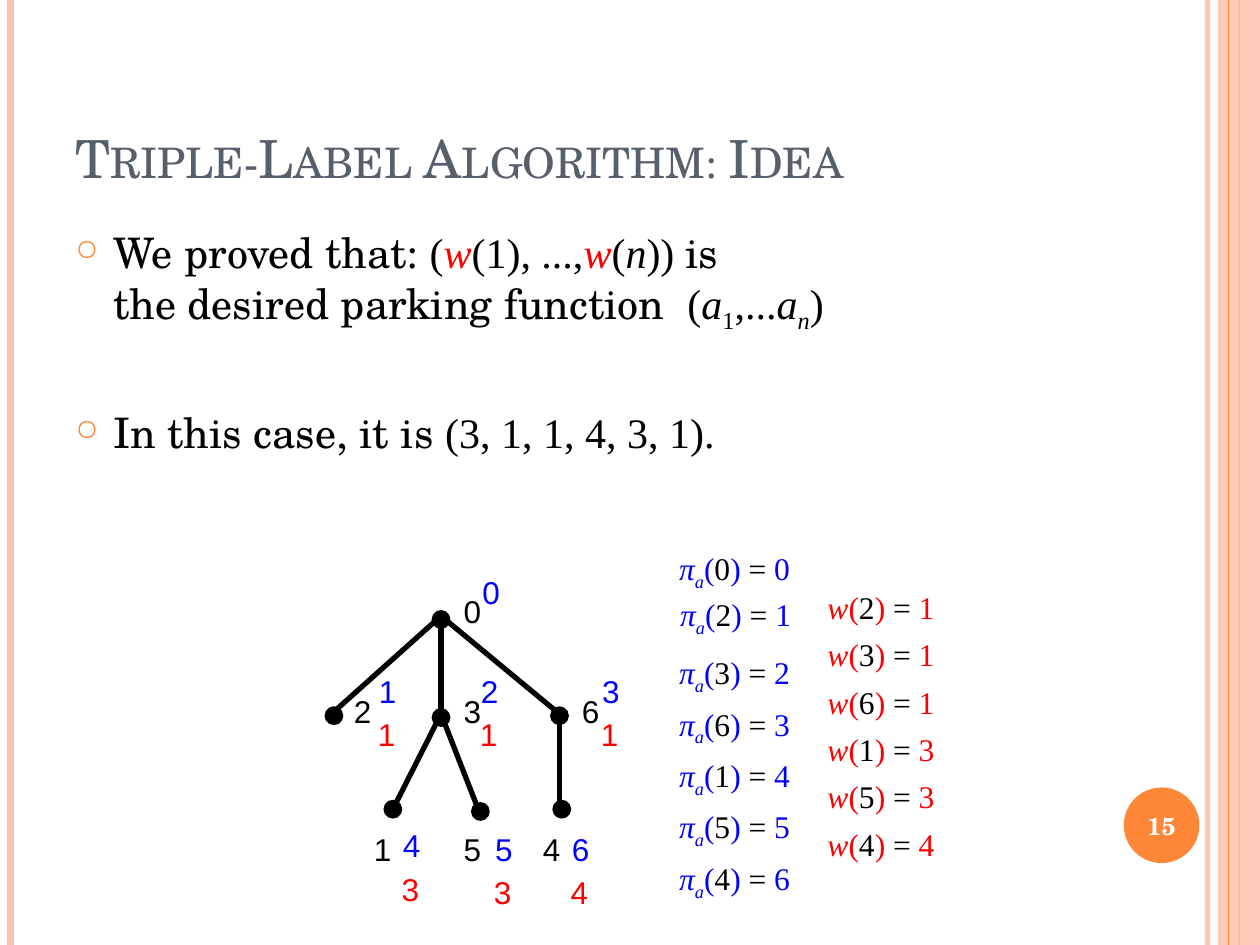
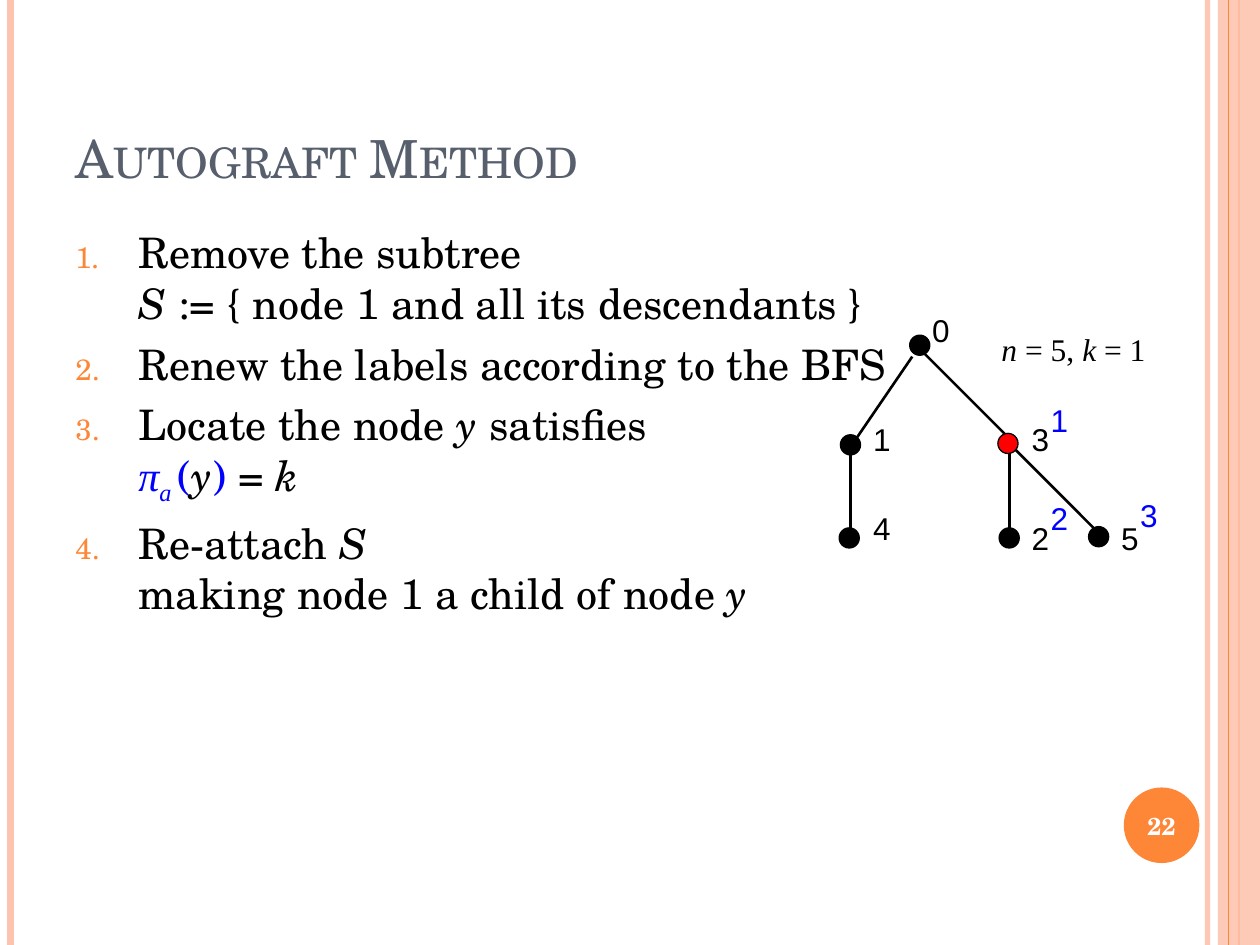
"""Build two slides on labelled trees and parking functions."""
from dataclasses import dataclass
from typing import NamedTuple, Optional

from lxml import etree
from pptx import Presentation
from pptx.dml.color import RGBColor
from pptx.enum.shapes import MSO_CONNECTOR, MSO_SHAPE
from pptx.enum.text import MSO_ANCHOR, PP_ALIGN
from pptx.oxml.ns import qn
from pptx.util import Pt

LINE = MSO_CONNECTOR.STRAIGHT
RECT, OVAL = MSO_SHAPE.RECTANGLE, MSO_SHAPE.OVAL
TOP, MID, LOW = MSO_ANCHOR.TOP, MSO_ANCHOR.MIDDLE, MSO_ANCHOR.BOTTOM
LEFT, MIDST = PP_ALIGN.LEFT, PP_ALIGN.CENTER


@dataclass(frozen=True)
class Theme:
    ink: str = "000000"
    blue: str = "0000FF"
    red: str = "FF0000"
    white: str = "FFFFFF"
    slate: str = "575F6D"
    peach: str = "FEC3AE"
    flame: str = "FE8637"
    serif: str = "TeX Gyre Schola"
    math: str = "Times New Roman"
    sans: str = "Arial"
    title: float = 30
    body: float = 24
    label: float = 18
    page: float = 14


T = Theme()


class Box(NamedTuple):
    x: float
    y: float
    w: float
    h: float


class Bit(NamedTuple):
    """Text with marks: i italic, s subscript, t math font, b blue, r red."""
    text: str
    marks: str = ""


class Para(NamedTuple):
    bits: list[Bit]
    before: float = 6


class Look(NamedTuple):
    font: str
    size: float
    color: str = T.ink
    bold: bool = False
    align: object = LEFT
    pitch: Optional[float] = None


class Band(NamedTuple):
    x: float
    width: float
    color: str
    alpha: int = 100


class Edge(NamedTuple):
    x1: float
    y1: float
    x2: float
    y2: float


class Node(NamedTuple):
    """A dot by its centre, its name, and its blue and red labels."""
    x: float
    y: float
    name: str
    name_x: float
    name_y: float
    rank: str = ""
    rank_x: float = 0
    rank_y: float = 0
    wait: str = ""
    color: str = T.ink


class Tree(NamedTuple):
    edges: list[Edge]
    nodes: list[Node]
    dot: float
    line: float


TITLE, BODY = Box(36, 21.6, 588, 90), Box(36, 126, 588, 384)
BADGE, SIDE = Box(642.2, 450, 43.2, 43.2), Box(696, 0, 24, 540)
BACK = [Band(690, 3, T.peach, 93), Band(6, 4.5, T.peach), Band(708, 1.5, T.flame)]
FRONT = [Band(702, 0.75, T.flame)]
LABEL = Look(T.sans, T.label)
FORMULA = Look(T.math, T.label, pitch=0.8)
STEP, GAP = 9.75, 24.8

PARK = Tree(
    [Edge(252, 352, 252, 408), Edge(252, 352, 319.7, 408),
     Edge(189.4, 408, 252, 352), Edge(223.2, 465, 252, 408),
     Edge(274.3, 465, 252, 408), Edge(319.7, 465, 319.7, 408)],
    [Node(252, 354, "0", 257.8, 334.8, "0", 268.6, 324),
     Node(190.8, 409, "2", 195.1, 391.7, "1", 209.5, 380.2, "1"),
     Node(252, 410, "3", 257.8, 391.7, "2", 267.8, 380.2, "1"),
     Node(319.7, 409, "6", 325.4, 391.7, "3", 337, 380.2, "1"),
     Node(224.5, 462.4, "1", 206.6, 470.9, "4", 223.2, 468.7, "3"),
     Node(274.5, 463.7, "5", 257.8, 470.9, "5", 275.8, 470.5, "3"),
     Node(321, 462.4, "4", 303.1, 470.9, "6", 319.7, 470.5, "4")],
    10, 3)
GRAFT = Tree(
    [Edge(579.6, 253.4, 525.6, 199.4), Edge(521.3, 203.8, 487.4, 253.4),
     Edge(486, 257.8, 486, 310.3), Edge(576.7, 253.4, 576.7, 310.3),
     Edge(576.7, 253.4, 627.8, 304.6)],
    [Node(525.6, 197.3, "0", 525.6, 174.2),
     Node(486, 254.2, "1", 491.8, 236.2),
     Node(485.3, 307.4, "4", 491.8, 287.3),
     Node(576, 253.4, "3", 582.5, 236.2, "1", 593.3, 225.4, color=T.red),
     Node(576.7, 307.4, "2", 582.5, 293, "2", 593.3, 281.5),
     Node(627.8, 306.7, "5", 633.6, 293, "3", 644.4, 280.1)],
    11.5, 1.5)


def fade(shape, alpha: int) -> None:
    """Make the colour of a shape partly clear."""
    if alpha < 100:
        color = shape._element.spPr.find(".//" + qn("a:srgbClr"))
        etree.SubElement(color, qn("a:alpha"), val=str(alpha * 1000))


def rule(slide, edge: Edge, width: float, color: str, alpha: int = 100) -> None:
    """Draw a straight line."""
    line = slide.shapes.add_connector(LINE, *map(Pt, edge))
    line.line.width = Pt(width)
    line.line.color.rgb = RGBColor.from_string(color)
    fade(line, alpha)
    etree.SubElement(line._element.spPr, qn("a:effectLst"))


def block(slide, kind, box: Box, fill: str, line: str = "", alpha: int = 100):
    """Draw a filled preset shape."""
    shape = slide.shapes.add_shape(kind, *map(Pt, box))
    shape.shadow.inherit = False
    shape.fill.solid()
    shape.fill.fore_color.rgb = RGBColor.from_string(fill)
    fade(shape, alpha)
    if line:
        shape.line.color.rgb = RGBColor.from_string(line)
        shape.line.width = Pt(0.75)
    else:
        shape.line.fill.background()
    return shape


def style(run, look: Look, marks: str = "") -> None:
    """Format a run by its look and marks."""
    font = run.font
    font.name = T.math if "t" in marks else look.font
    font.size, font.bold, font.italic = Pt(look.size), look.bold, "i" in marks
    color = T.blue if "b" in marks else T.red if "r" in marks else look.color
    font.color.rgb = RGBColor.from_string(color)
    if "s" in marks:
        run._r.get_or_add_rPr().set("baseline", "-25000")


def write(frame, paras: list[Para], look: Look, anchor=TOP) -> None:
    """Fill a text frame with paragraphs of marked bits."""
    frame.word_wrap, frame.vertical_anchor = True, anchor
    for i, para in enumerate(paras):
        line = frame.add_paragraph() if i else frame.paragraphs[0]
        line.alignment, line.space_before = look.align, Pt(para.before)
        if look.pitch:
            line.line_spacing = look.pitch
        for bit in para.bits:
            for j, part in enumerate(bit.text.split("\n")):
                if j:
                    line.add_line_break()
                if part:
                    run = line.add_run()
                    run.text = part
                    style(run, look, bit.marks)


def note(slide, box: Box, paras: list[Para], look: Look, anchor=TOP):
    """Add a text box and return its frame."""
    frame = slide.shapes.add_textbox(*map(Pt, box)).text_frame
    write(frame, paras, look, anchor)
    return frame


def tag(slide, x: float, y: float, text: str, mark: str = "") -> None:
    """Add a short label."""
    note(slide, Box(x, y, 36, 28.8), [Para([Bit(text, mark)], 0)], LABEL)


def list_up(frame, indent: float, kind: str, **sign: str) -> None:
    """Give each paragraph a hanging bullet or number."""
    for line in frame.paragraphs:
        props = line._p.get_or_add_pPr()
        props.set("marL", str(Pt(indent)))
        props.set("indent", str(-Pt(indent)))
        color = etree.SubElement(props, qn("a:buClr"))
        etree.SubElement(color, qn("a:srgbClr"), val=T.flame)
        etree.SubElement(props, qn("a:buSzPct"), val="70000")
        etree.SubElement(props, qn(kind), **sign)


def plant(slide, tree: Tree) -> None:
    """Draw a tree with its labels."""
    for edge in tree.edges:
        rule(slide, edge, tree.line, T.ink)
    half = tree.dot / 2
    for node in tree.nodes:
        spot = Box(node.x - half, node.y - half, tree.dot, tree.dot)
        block(slide, OVAL, spot, node.color, T.ink)
        tag(slide, node.name_x, node.name_y, node.name)
        if node.rank:
            tag(slide, node.rank_x, node.rank_y, node.rank, "b")
        if node.wait:
            tag(slide, node.rank_x - 0.7, node.rank_y + GAP, node.wait, "r")


def value(head: list[Bit], node: str, result: str, mark: str) -> Para:
    """Make one formula line such as w(2) = 1."""
    return Para([*head, Bit("(", mark), Bit(node), Bit(") ", mark),
                 Bit("="), Bit(" " + result, mark)], STEP)


def frame_up(deck, title: str, page: int):
    """Add a slide with bands, title and page badge."""
    slide = deck.slides.add_slide(deck.slide_layouts[6])
    for band in BACK:
        rule(slide, Edge(band.x, 0, band.x, 540), band.width, band.color, band.alpha)
    block(slide, RECT, SIDE, T.peach, alpha=87)
    for band in FRONT:
        rule(slide, Edge(band.x, 0, band.x, 540), band.width, band.color)
    badge = block(slide, OVAL, BADGE, T.flame).text_frame
    badge.margin_left = badge.margin_right = 0
    write(badge, [Para([Bit(str(page))], 0)],
          Look(T.serif, T.page, T.white, True, MIDST), MID)
    head = note(slide, TITLE, [Para([Bit(title)], 0)],
                Look(T.serif, T.title, T.slate), LOW)
    head.paragraphs[0].runs[0]._r.get_or_add_rPr().set("cap", "small")
    return slide


def idea(deck) -> None:
    """Build the slide on the idea of the algorithm."""
    slide = frame_up(deck, "Triple-Label Algorithm: Idea", 15)
    paras = [
        Para([Bit("We proved that: "), Bit("(", "t"), Bit("w", "tir"),
              Bit("(1), ...,", "t"), Bit("w", "tir"), Bit("(", "t"),
              Bit("n", "ti"), Bit(")) ", "t"),
              Bit("is \nthe desired parking function  "), Bit("(", "t"),
              Bit("a", "ti"), Bit("1", "ts"), Bit(",...", "t"),
              Bit("a", "ti"), Bit("n", "tis"), Bit(")", "t")]),
        Para([Bit("In this case, it is "), Bit("(3, 1, 1, 4, 3, 1).", "t")], 41)]
    list_up(note(slide, BODY, paras, Look(T.serif, T.body)), 21.6,
            "a:buChar", char="○")
    plant(slide, PARK)
    head = [Bit("π", "ib"), Bit("a", "ibs")]
    ranks = [value(head, n.name, n.rank, "b") for n in PARK.nodes]
    for x, y, part in ((381, 312.5, ranks[:1]), (381.6, 339, ranks[1:2]),
                       (381, 372, ranks[2:])):
        note(slide, Box(x, y, 96.5, 24.5 + 28.6 * (len(part) - 1)), part, FORMULA)
    waits = [value([Bit("w", "ir")], n.name, n.wait, "r") for n in PARK.nodes[1:]]
    note(slide, Box(465.8, 336.6, 96.5, 164), waits, FORMULA)


def graft(deck) -> None:
    """Build the slide on the autograft method."""
    slide = frame_up(deck, "Autograft Method", 22)
    steps = [
        [Bit("Remove the subtree \n"), Bit("S ", "i"),
         Bit(":= { node 1 and all its descendants }")],
        [Bit("Renew the labels according to the BFS")],
        [Bit("Locate the node "), Bit("y", "i"), Bit(" satisfies\n"),
         Bit("π", "tib"), Bit("a ", "tibs"), Bit("(", "b"), Bit("y", "i"),
         Bit(")", "b"), Bit(" = "), Bit("k", "i")],
        [Bit("Re-attach "), Bit("S \n", "i"),
         Bit("making node 1 a child of node "), Bit("y", "i")]]
    frame = note(slide, BODY, [Para(s) for s in steps], Look(T.serif, T.body))
    list_up(frame, 36, "a:buAutoNum", type="arabicPeriod")
    plant(slide, GRAFT)
    case = [Bit("n", "i"), Bit(" = 5, "), Bit("k", "i"), Bit(" = 1")]
    note(slide, Box(565.2, 185, 141.8, 28.8), [Para(case, 0)], Look(T.math, T.label))


def main() -> None:
    """Build and save the deck."""
    deck = Presentation()
    deck.slide_width, deck.slide_height = Pt(720), Pt(540)
    idea(deck)
    graft(deck)
    deck.save("out.pptx")


if __name__ == "__main__":
    main()
